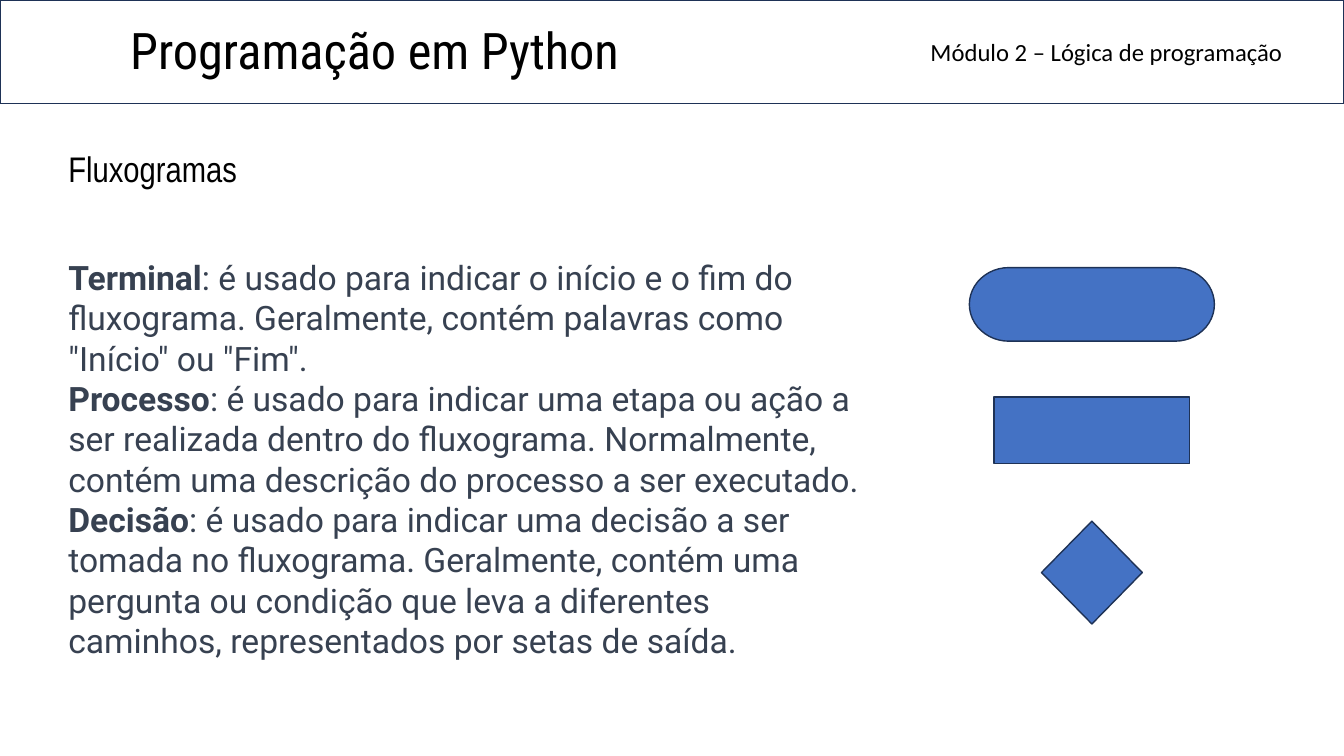
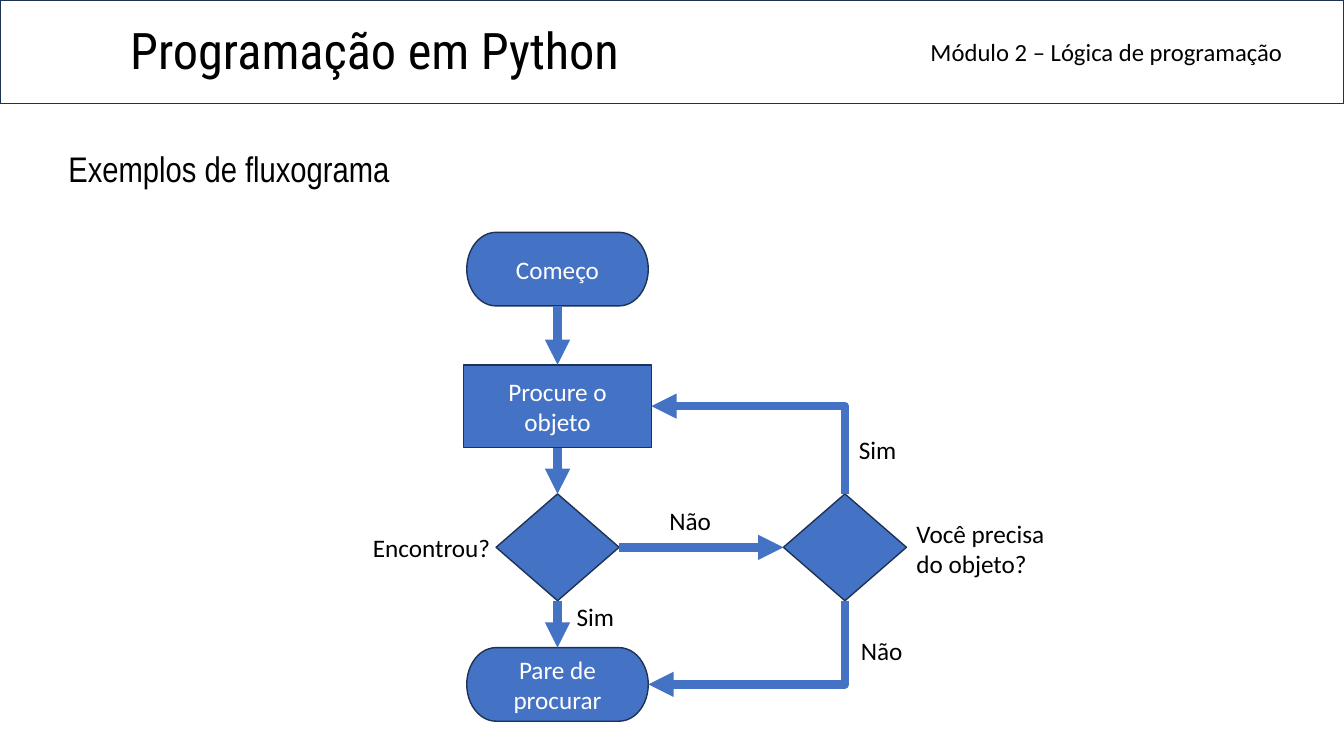
from pptx import Presentation
from pptx.dml.color import RGBColor
from pptx.enum import shapes, text
from pptx.oxml import ns
from pptx.util import Inches, Pt
from lxml import etree

BLUE, NAVY, SLATE = "4472C4", "1E3256", "374151"
BLACK, WHITE = "000000", "FFFFFF"
KIND = shapes.MSO_SHAPE
TERM = KIND.FLOWCHART_TERMINATOR
PROC = KIND.FLOWCHART_PROCESS
DEC = KIND.FLOWCHART_DECISION
LEFT, MID = text.PP_ALIGN.LEFT, text.PP_ALIGN.CENTER
BASE = text.MSO_ANCHOR.BOTTOM


def color(code):
    return RGBColor.from_string(code)


def write(shape, paras, size, face, ink, align=LEFT, anchor=text.MSO_ANCHOR.TOP):
    frame = shape.text_frame
    frame.word_wrap = True
    frame.vertical_anchor = anchor
    for num, runs in enumerate(paras):
        para = frame.add_paragraph() if num else frame.paragraphs[0]
        para.alignment = align
        for words, bold in runs:
            run = para.add_run()
            run.text = words
            font = run.font
            font.size, font.name, font.bold = Pt(size), face, bold
            font.color.rgb = color(ink)
    return frame


terms = [
    ("Terminal", ": é usado para indicar o início e o fim do fluxograma. "
     "Geralmente, contém palavras como \"Início\" ou \"Fim\"."),
    ("Processo", ": é usado para indicar uma etapa ou ação a ser realizada dentro do "
     "fluxograma. Normalmente, contém uma descrição do processo a ser executado."),
    ("Decisão", ": é usado para indicar uma decisão a ser tomada no fluxograma. "
     "Geralmente, contém uma pergunta ou condição que leva a diferentes caminhos, "
     "representados por setas de saída."),
]
terms = [[(name, True), (rest, False)] for name, rest in terms]

COL, SIDE, ROW = 5.53, 8.38, 5.43
pages = [
    ("Fluxogramas", [
        ("term", TERM, 10.83, 3.02, 2.43, 0.73, ""),
        ("proc", PROC, 10.83, 4.27, 1.94, 0.66, ""),
        ("test", DEC, 10.83, 5.68, 1, 1.02, ""),
    ], [], [
        (0.58, 2.5, 8.07, 4.14, terms, 24, "Roboto", SLATE),
    ]),
    ("Exemplos de fluxograma", [
        ("start", TERM, COL, 2.67, 1.8, 0.73, "Começo"),
        ("seek", PROC, COL, 4.03, 1.86, 0.82, "Procure o objeto"),
        ("stop", TERM, COL, 6.79, 1.8, 0.73, "Pare de procurar"),
        ("found", DEC, COL, ROW, 1.22, 1.06, ""),
        ("need", DEC, SIDE, ROW, 1.22, 1.06, ""),
    ], [
        ("start", 2, "seek", 0),
        ("seek", 2, "found", 0),
        ("found", 2, "stop", 0),
        ("need", 2, "stop", 3),
        ("need", 0, "seek", 3),
        ("found", 3, "need", 1),
    ], [
        (x, y, w, h, [[(words, False)]], 18, "Calibri", BLACK)
        for x, y, w, h, words in [
            (6.54, 4.96, 0.88, 0.4, "Não"),
            (5.62, 5.92, 0.88, 0.4, "Sim"),
            (8.42, 4.26, 0.88, 0.4, "Sim"),
            (8.44, 6.25, 0.88, 0.4, "Não"),
            (3.6, 5.23, 1.51, 0.4, "Encontrou?"),
            (8.99, 5.09, 1.51, 0.71, "Você precisa do objeto?"),
        ]
    ]),
]

deck = Presentation()
deck.slide_width, deck.slide_height = Inches(13.33), Inches(7.5)

for topic, nodes, links, notes in pages:
    slide = deck.slides.add_slide(deck.slide_layouts[5])
    items = slide.shapes

    band = items.add_shape(KIND.RECTANGLE, 0, 0, deck.slide_width, Inches(1.03))
    band.shadow.inherit = False
    band.fill.solid()
    band.fill.fore_color.rgb = color(WHITE)
    band.line.color.rgb = color(NAVY)
    band.line.width = Pt(1)

    title = items.title
    title._element.addprevious(band._element)
    title.left, title.top = Inches(1.19), Inches(0.17)
    title.width, title.height = Inches(10.96), Inches(0.67)
    frame = write(title, [[("Programação em Python", False)]], 36,
                  "Roboto Condensed", BLACK, anchor=BASE)
    frame.auto_size = text.MSO_AUTO_SIZE.NONE

    unit = items.add_textbox(Inches(9.13), Inches(-0.12), Inches(4.05), Inches(0.83))
    write(unit, [[("Módulo 2 – Lógica de programação", False)]], 17.6,
          "Calibri", BLACK, anchor=BASE)

    head = items.add_textbox(Inches(0.58), Inches(1.41), Inches(8.41), Inches(0.59))
    frame = write(head, [[(topic, False)]], 25.4, "Arial Narrow", BLACK)
    frame.margin_top = frame.margin_bottom = Inches(0.1)
    frame.paragraphs[0].line_spacing = 0.9

    made = {}
    for name, kind, x, y, w, h, words in nodes:
        node = items.add_shape(kind, Inches(x - w / 2), Inches(y - h / 2),
                               Inches(w), Inches(h))
        node.shadow.inherit = False
        node.fill.solid()
        node.fill.fore_color.rgb = color(BLUE)
        node.line.color.rgb = color(NAVY)
        node.line.width = Pt(1)
        if words:
            write(node, [[(words, False)]], 18, "Calibri", WHITE, MID,
                  text.MSO_ANCHOR.MIDDLE)
        made[name] = node

    for start, out, end, into in links:
        bent = out in (0, 2) and into == 3
        kind = shapes.MSO_CONNECTOR.ELBOW if bent else shapes.MSO_CONNECTOR.STRAIGHT
        link = items.add_connector(kind, 0, 0, 0, 0)
        link.begin_connect(made[start], out)
        link.end_connect(made[end], into)
        link.line.color.rgb = color(BLUE)
        link.line.width = Pt(6)
        props = link._element.spPr
        tip = etree.SubElement(props.find(ns.qn("a:ln")), ns.qn("a:tailEnd"))
        tip.set("type", "triangle")
        etree.SubElement(props, ns.qn("a:effectLst"))
        if bent:
            wide, high = link.width, link.height
            link.left += (wide - high) // 2
            link.top += (high - wide) // 2
            link.width, link.height = high, wide
            turn = props.find(ns.qn("a:xfrm"))
            turn.attrib.pop("flipH", None)
            turn.set("rot", str((90 if out == 2 else 270) * 60000))
            props.find(ns.qn("a:prstGeom")).set("prst", "bentConnector2")

    for x, y, w, h, paras, size, face, ink in notes:
        note = items.add_textbox(Inches(x), Inches(y), Inches(w), Inches(h))
        frame = write(note, paras, size, face, ink)
        frame.auto_size = text.MSO_AUTO_SIZE.SHAPE_TO_FIT_TEXT

deck.save("out.pptx")
